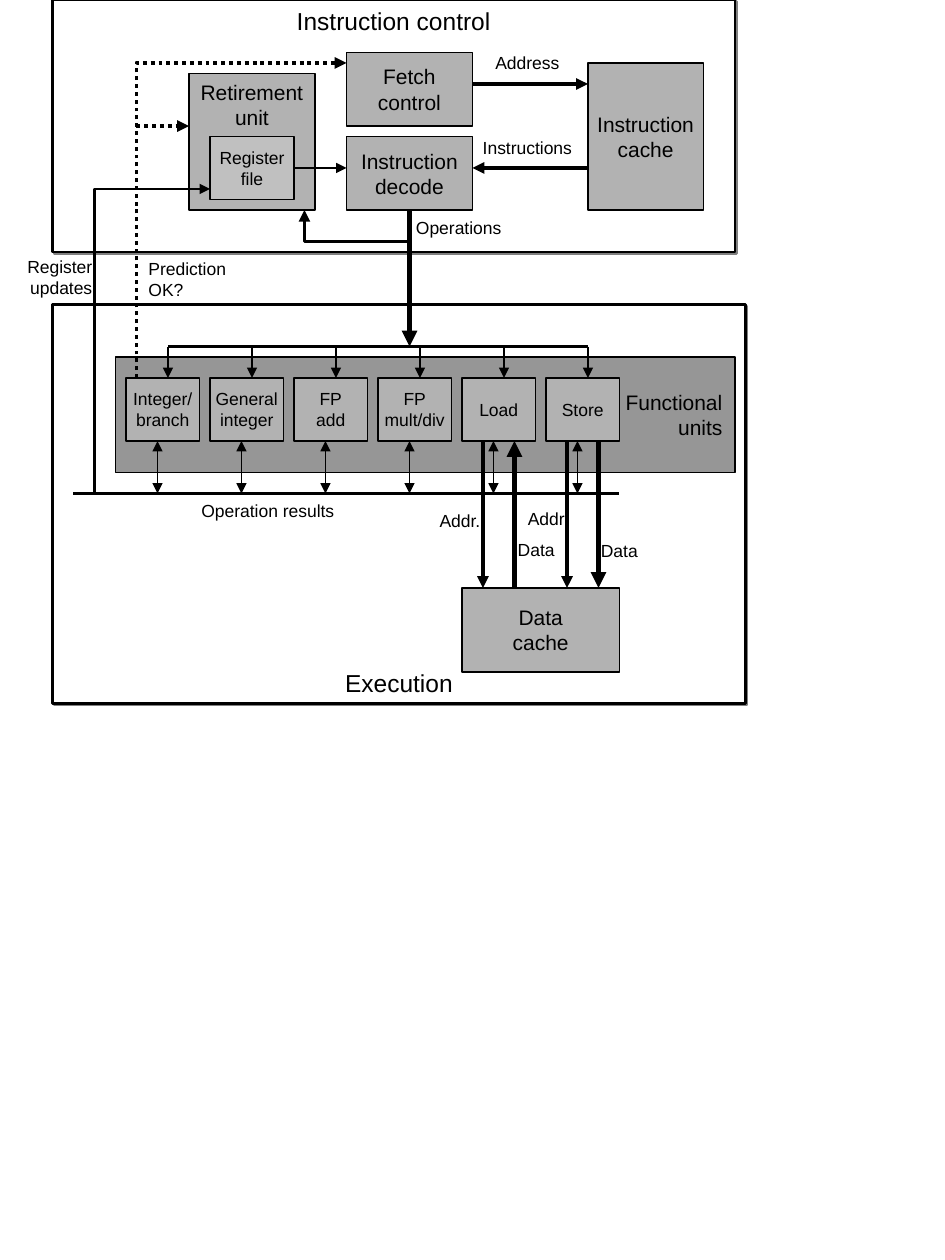
from dataclasses import dataclass

from pptx import Presentation
from pptx.dml.color import RGBColor
from pptx.enum.dml import MSO_LINE
from pptx.enum.shapes import MSO_CONNECTOR, MSO_SHAPE
from pptx.enum.text import MSO_ANCHOR, MSO_AUTO_SIZE, PP_ALIGN
from pptx.oxml.ns import qn
from pptx.util import Inches, Pt
from lxml.etree import SubElement

RECT = MSO_SHAPE.RECTANGLE
LINE = MSO_CONNECTOR.STRAIGHT
DOTS = MSO_LINE.ROUND_DOT
GROW = MSO_AUTO_SIZE.SHAPE_TO_FIT_TEXT
TOP, MID, LOW = MSO_ANCHOR.TOP, MSO_ANCHOR.MIDDLE, MSO_ANCHOR.BOTTOM
LEFT, CENTER, RIGHT = PP_ALIGN.LEFT, PP_ALIGN.CENTER, PP_ALIGN.RIGHT


@dataclass(frozen=True)
class Theme:
    """Colours, font, type sizes and line widths of the diagram."""
    font: str = "Arial"
    ink: str = "000000"
    paper: str = "FFFFFF"
    band: str = "969696"
    block: str = "B2B2B2"
    store: str = "C0C0C0"
    shade: str = "808080"
    head: int = 14
    name: int = 12
    note: int = 10
    thin: float = 0.75
    fine: float = 1
    plain: float = 1.5
    bold: float = 2.25
    heavy: float = 3


THEME = Theme()


def grid(count):
    """Return a length in steps of a twelfth of an inch."""
    return Inches(count / 12)


def color(code):
    """Return the colour for a hex code."""
    return RGBColor.from_string(code)


def write(shape, lines, size, align, anchor):
    """Write one paragraph for each line of text."""
    frame = shape.text_frame
    frame.word_wrap = False
    frame.vertical_anchor = anchor
    frame.margin_left = frame.margin_right = Inches(0.1)
    frame.margin_top = frame.margin_bottom = Inches(0.05)
    for i, text in enumerate(lines):
        para = frame.add_paragraph() if i else frame.paragraphs[0]
        para.alignment = align
        run = para.add_run()
        run.text = text
        run.font.name = THEME.font
        run.font.size = Pt(size)
        run.font.color.rgb = color(THEME.ink)


def box(slide, place, lines, size=THEME.name, fill=THEME.block,
        width=THEME.thin, align=CENTER, anchor=MID):
    """Add a filled box with text, placed in grid steps."""
    shape = slide.shapes.add_shape(RECT, *map(grid, place))
    shape.shadow.inherit = False
    shape.fill.solid()
    shape.fill.fore_color.rgb = color(fill)
    shape.line.color.rgb = color(THEME.ink)
    shape.line.width = Pt(width)
    write(shape, lines, size, align, anchor)
    return shape


def panel(slide, place, title, anchor):
    """Add a large white frame with a title and a hard shadow."""
    shape = box(slide, place, [title], THEME.head, THEME.paper,
                THEME.plain, anchor=anchor)
    effect = shape.element.spPr.find(qn("a:effectLst"))
    shadow = SubElement(effect, qn("a:outerShdw"), blurRad="0",
                        dist=str(Pt(1.4)), dir="2700000", algn="ctr", rotWithShape="0")
    SubElement(shadow, qn("a:srgbClr"), val=THEME.shade)


def label(slide, place, lines, align=CENTER):
    """Add a small free label, placed in inches."""
    shape = slide.shapes.add_textbox(*map(Inches, place))
    write(shape, lines, THEME.note, align, TOP)
    shape.text_frame.auto_size = GROW


def stroke(shape, width, tips, dots):
    """Set the line, its dash and its arrow tips."""
    shape.line.color.rgb = color(THEME.ink)
    shape.line.width = Pt(width)
    if dots:
        shape.line.dash_style = DOTS
    for tip in tips:
        SubElement(shape.get_or_add_ln(), qn(f"a:{tip}End"), type="triangle")


def wire(slide, start, end, width, tips=("tail",), dots=False):
    """Add a straight connector between two grid points."""
    line = slide.shapes.add_connector(LINE, *map(grid, start + end))
    stroke(line, width, tips, dots)
    SubElement(line.element.spPr, qn("a:effectLst"))
    return line


def bend(slide, points, width, dots=False):
    """Add an open path through grid points, with an arrow at its end."""
    first, *rest = [(grid(x), grid(y)) for x, y in points]
    build = slide.shapes.build_freeform(*first)
    build.add_line_segments(rest, close=False)
    shape = build.convert_to_shape()
    shape.shadow.inherit = False
    shape.fill.background()
    stroke(shape, width, ("tail",), dots)


def control(slide):
    """Draw the instruction control blocks and their links."""
    box(slide, (33, 5, 12, 7), ["Fetch", "control"])
    decode = box(slide, (33, 13, 12, 7), ["Instruction", "decode"])
    box(slide, (56, 6, 11, 14), ["Instruction", "cache"])
    box(slide, (18, 7, 12, 13), ["Retirement", "unit"], anchor=TOP)
    regs = box(slide, (20, 13, 8, 6), ["Register", "file"],
               THEME.note, THEME.store)
    wire(slide, (45, 8), (56, 8), THEME.bold)
    wire(slide, (56, 16), (45, 16), THEME.bold)
    wire(slide, (39, 20), (39, 33), THEME.heavy).begin_connect(decode, 2)
    wire(slide, (28, 16), (33, 16), THEME.thin).begin_connect(regs, 3)
    wire(slide, (13, 12), (18, 12), THEME.bold, dots=True)
    bend(slide, [(13, 36), (13, 6), (33, 6)], THEME.bold, dots=True)
    bend(slide, [(9, 47), (9, 18), (20, 18)], THEME.plain)
    bend(slide, [(39, 23), (29, 23), (29, 20)], THEME.bold)


def units(slide):
    """Draw the row of functional units between their two buses."""
    names = [["Integer/", "branch"], ["General", "integer"], ["FP", "add"],
             ["FP", "mult/div"], ["Load"], ["Store"]]
    for i, lines in enumerate(names):
        left = 12 + 8 * i
        box(slide, (left, 36, 7, 6), lines, THEME.note)
        wire(slide, (left + 4, 33), (left + 4, 36), THEME.plain)
        wire(slide, (left + 3, 42), (left + 3, 47), THEME.fine,
             ("head", "tail"))
    wire(slide, (16, 33), (56, 33), THEME.bold, ())
    wire(slide, (7, 47), (59, 47), THEME.plain, ())


def memory(slide):
    """Draw the data cache and its address and data links."""
    box(slide, (44, 56, 15, 8), ["Data", "cache"])
    for x in (46, 54):
        wire(slide, (x, 42), (x, 56), THEME.bold)
    wire(slide, (49, 56), (49, 42), THEME.heavy)
    wire(slide, (57, 42), (57, 56), THEME.heavy)


def notes(slide):
    """Add the labels that name the links."""
    label(slide, (3.81, 0.36, 0.75, 0.27), ["Address"])
    label(slide, (3.7, 1.04, 0.97, 0.27), ["Instructions"])
    label(slide, (3.14, 1.67, 1, 0.27), ["Operations"])
    label(slide, (1.08, 2, 0.95, 0.44), ["Prediction", "OK?"], LEFT)
    label(slide, (0.01, 1.98, 0.82, 0.44), ["Register", "updates"], RIGHT)
    label(slide, (1.5, 3.92, 1.35, 0.27), ["Operation results"], LEFT)
    label(slide, (3.36, 4, 0.58, 0.27), ["Addr."])
    label(slide, (4.06, 3.98, 0.58, 0.27), ["Addr."])
    label(slide, (3.98, 4.23, 0.55, 0.27), ["Data"])
    label(slide, (4.64, 4.24, 0.55, 0.27), ["Data"])


def main():
    """Build the processor diagram and save it."""
    deck = Presentation()
    deck.slide_width, deck.slide_height = Inches(7.5), Inches(10)
    slide = deck.slides.add_slide(deck.slide_layouts[6])
    panel(slide, (5, 29, 66, 38), "Execution", LOW)
    box(slide, (11, 34, 59, 11), ["Functional", "units"], fill=THEME.band,
        align=RIGHT)
    panel(slide, (5, 0, 65, 24), "Instruction control", TOP)
    control(slide)
    units(slide)
    memory(slide)
    notes(slide)
    deck.save("out.pptx")


if __name__ == "__main__":
    main()
